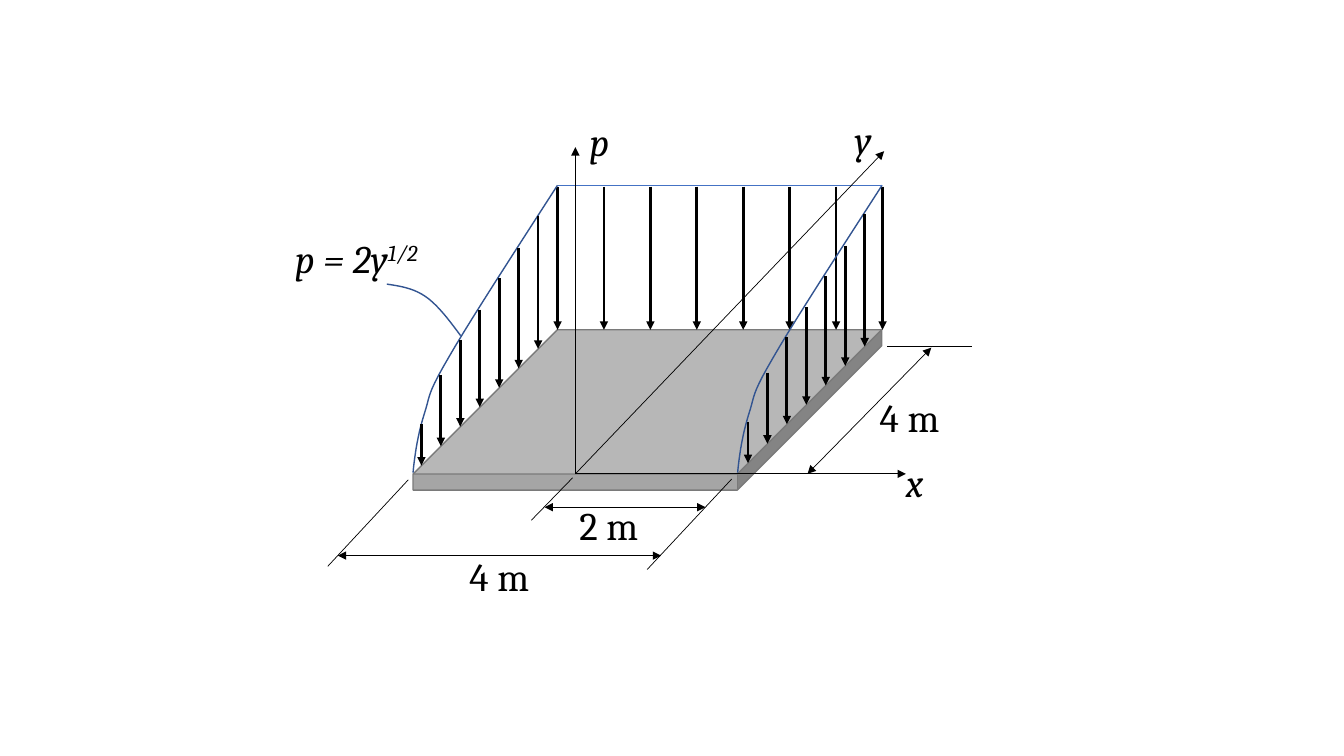
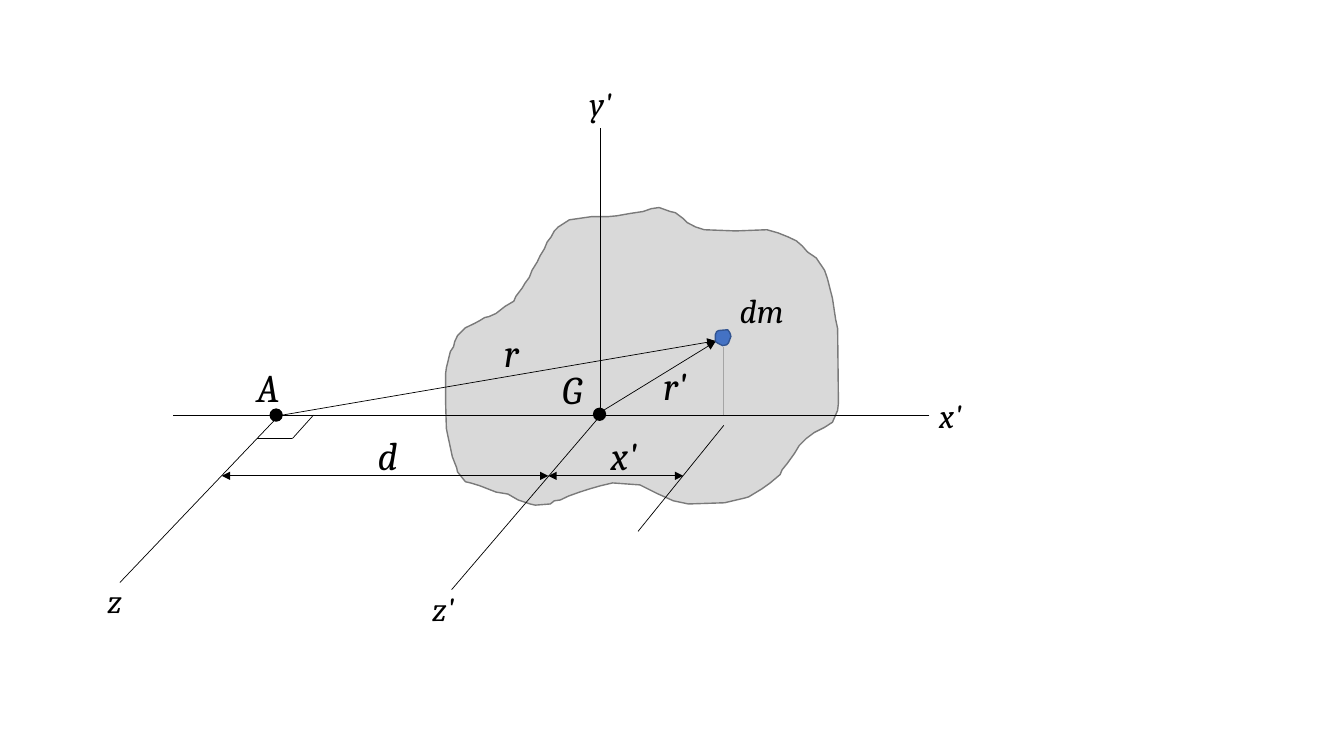
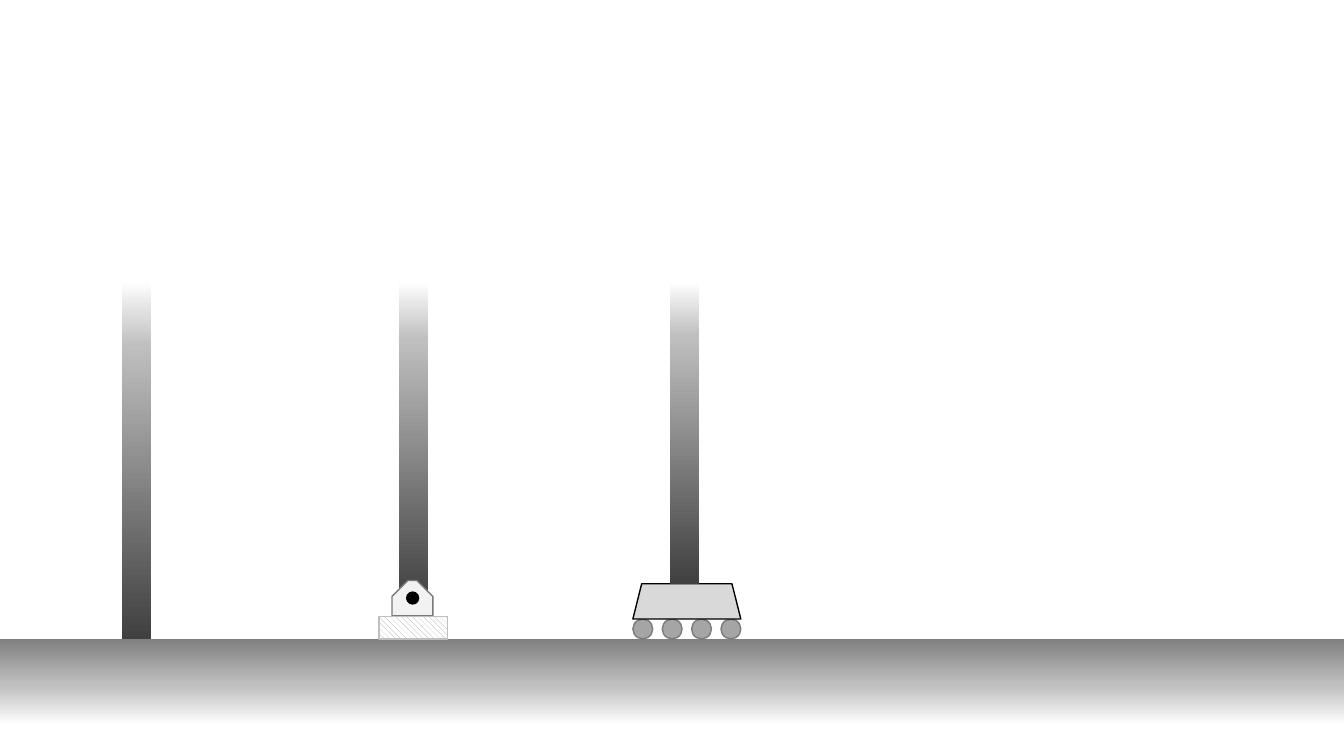
import pptx
import pptx.util
import pptx.dml.color
import pptx.enum.dml
import pptx.enum.shapes
import pptx.enum.text
import pptx.oxml.ns
import lxml.etree

Cm = pptx.util.Cm
Pt = pptx.util.Pt
SHAPE = pptx.enum.shapes.MSO_SHAPE
qn = pptx.oxml.ns.qn


def color(hex_string):
    return pptx.dml.color.RGBColor.from_string(hex_string)


def bezier(points, steps=10):
    result = [points[0]]
    for i in range(0, len(points) - 1, 3):
        a, b, c, d = points[i:i + 4]
        for n in range(1, steps + 1):
            t = n / steps
            u = 1 - t
            result.append(tuple(
                u ** 3 * a[k] + 3 * u * u * t * b[k] + 3 * u * t * t * c[k] + t ** 3 * d[k]
                for k in (0, 1)))
    return result


def shift(points, dx, dy=0):
    return [(x + dx, y + dy) for x, y in points]


class Diagram:
    FONT = "Cambria"
    BLACK = "000000"
    BLUE = "4472C4"
    NAVY = "325491"
    EDGE = "7A7A7A"
    STEEL = "A5A5A5"
    PALE = "D9D9D9"
    HAIR = 0.5
    LOAD = 2
    LARGE = 28
    SMALL = 24
    HEIGHTS = {LARGE: 1.45, SMALL: 1.27}

    def __init__(self, prs):
        self.prs = prs
        self.s = None

    def new_slide(self):
        self.s = self.prs.slides.add_slide(self.prs.slide_layouts[6])

    def paint(self, sp, fill, line, width=1):
        sp.shadow.inherit = False
        if fill:
            sp.fill.solid()
            sp.fill.fore_color.rgb = color(fill)
        else:
            sp.fill.background()
        if line:
            sp.line.color.rgb = color(line)
            sp.line.width = Pt(width)
        else:
            sp.line.fill.background()

    def shape(self, kind, x, y, w, h, fill=None, line=None, adj=()):
        sp = self.s.shapes.add_shape(kind, Cm(x), Cm(y), Cm(w), Cm(h))
        for i, value in enumerate(adj):
            sp.adjustments[i] = value
        self.paint(sp, fill, line)
        return sp

    def gradient(self, x, y, w, h, stops, angle):
        sp = self.shape(SHAPE.RECTANGLE, x, y, w, h)
        sp.fill.gradient()
        sp.fill.gradient_angle = angle
        gs_list = next(sp.fill._xPr.iter(qn("a:gsLst")))
        for gs in list(gs_list):
            gs_list.remove(gs)
        for position, hex_string in stops:
            gs = lxml.etree.SubElement(gs_list, qn("a:gs"), pos=str(position * 1000))
            lxml.etree.SubElement(gs, qn("a:srgbClr"), val=hex_string)

    def hatched(self, x, y, w, h, fore, back, line):
        sp = self.shape(SHAPE.RECTANGLE, x, y, w, h, line=line)
        sp.fill.patterned()
        sp.fill.pattern = pptx.enum.dml.MSO_PATTERN.WIDE_DOWNWARD_DIAGONAL
        sp.fill.fore_color.rgb = color(fore)
        sp.fill.back_color.rgb = color(back)

    def outline(self, points, line, fill=None, closed=False):
        pts = [(Cm(x), Cm(y)) for x, y in points]
        builder = self.s.shapes.build_freeform(*pts[0])
        builder.add_line_segments(pts[1:], close=closed)
        self.paint(builder.convert_to_shape(), fill, line)

    def line(self, x1, y1, x2, y2, width=HAIR, hex_string=BLACK, ends=()):
        cxn = self.s.shapes.add_connector(
            pptx.enum.shapes.MSO_CONNECTOR.STRAIGHT, Cm(x1), Cm(y1), Cm(x2), Cm(y2))
        cxn.line.color.rgb = color(hex_string)
        cxn.line.width = Pt(width)
        ln = cxn.line._get_or_add_ln()
        for end in ends:
            lxml.etree.SubElement(ln, qn("a:" + end), type="triangle")
        lxml.etree.SubElement(cxn._element.spPr, qn("a:effectLst"))

    def arrow(self, x1, y1, x2, y2, width=HAIR):
        self.line(x1, y1, x2, y2, width, ends=("tailEnd",))

    def dimension(self, x1, y1, x2, y2):
        self.line(x1, y1, x2, y2, ends=("headEnd", "tailEnd"))

    def label(self, x, y, text, size=LARGE, italic=True, w=2.34, sup=None):
        sp = self.s.shapes.add_textbox(Cm(x), Cm(y), Cm(w), Cm(self.HEIGHTS[size]))
        tf = sp.text_frame
        tf.word_wrap = True
        tf.auto_size = pptx.enum.text.MSO_AUTO_SIZE.SHAPE_TO_FIT_TEXT
        p = tf.paragraphs[0]
        for run_text, raised in ((text, False), (sup, True)):
            if not run_text:
                continue
            r = p.add_run()
            r.text = run_text
            r.font.name = self.FONT
            r.font.size = Pt(size)
            r.font.italic = italic
            r.font.color.rgb = color(self.BLACK)
            if raised:
                r._r.get_or_add_rPr().set("baseline", "30000")


def pressure_plate(d):
    d.new_slide()
    d.shape(SHAPE.CUBE, 10.41, 8.31, 11.81, 4.04, d.STEEL, d.EDGE, (0.9,))
    for i in range(8):
        x = 14.05 + 1.17 * i
        d.arrow(x, 4.7, x, 8.31, d.LOAD)
    profile = bezier([
        (10.41, 11.91), (10.46, 11.4), (10.54, 10.92), (10.69, 10.44),
        (10.85, 9.96), (10.74, 9.98), (11.3, 9.02),
        (11.86, 8.05), (12.95, 6.38), (14.05, 4.67)])
    for dx in (8.18, 0):
        d.outline(shift(profile, dx), d.NAVY)
    d.line(14.05, 4.67, 22.23, 4.67, hex_string=d.BLUE)
    tops = (10.69, 9.45, 8.56, 7.8, 7.01, 6.25, 5.44)
    for dx, dy in ((8.23, -0.06), (0, 0)):
        for i, top in enumerate(tops):
            x = 10.62 + dx + 0.49 * i
            d.arrow(x, top + dy, x, 11.73 + dy - 0.49 * i, d.LOAD)

    for x, y in ((14.5, 3.71), (22.28, 3.81), (22.83, 11.94)):
        d.arrow(14.5, 11.94, x, y)
    d.label(21.29, 2.77, "y")
    d.label(14.61, 2.84, "p")
    d.label(22.58, 11.43, "x")
    d.outline(bezier([
        (9.75, 7.16), (10.08, 7.21), (10.41, 7.26), (10.72, 7.47),
        (11.02, 7.67), (11.33, 8.08), (11.61, 8.46)]), d.NAVY)
    d.label(7.19, 5.77, "p = 2y", w=5.03, sup="1/2")

    d.dimension(23.47, 8.76, 20.35, 11.94)
    d.dimension(16.66, 14, 8.51, 14)
    d.dimension(17.78, 12.78, 13.72, 12.78)
    for ends in ((24.49, 8.74, 22.35, 8.74), (16.31, 14.35, 18.44, 12.07),
                 (8.26, 14.27, 10.29, 12.09), (13.39, 13.11, 14.43, 12.04)):
        d.line(*ends)
    for x, y, text in ((21.92, 9.78, "4 m"), (11.58, 13.79, "4 m"), (14.35, 12.52, "2 m")):
        d.label(x, y, text, italic=False)


BODY = [
    (15.54, 5.44), (15.32, 5.46), (14.91, 5.46), (14.35, 5.54), (14.07, 5.72),
    (13.97, 5.82), (13.89, 5.97), (13.79, 6.1), (13.72, 6.27), (13.61, 6.45),
    (13.54, 6.6), (13.41, 6.81), (13.34, 6.99), (13.23, 7.14), (13.16, 7.26),
    (13, 7.47), (12.95, 7.59), (12.73, 7.72), (12.5, 7.9), (12.32, 7.98),
    (12.22, 8), (12.09, 8.08), (11.96, 8.15), (11.73, 8.26), (11.53, 8.46),
    (11.46, 8.61), (11.43, 8.74), (11.35, 8.86), (11.25, 9.27), (11.23, 9.42),
    (11.23, 10.11), (11.25, 10.8), (11.28, 10.95), (11.33, 11.18), (11.4, 11.51),
    (11.51, 11.79), (11.53, 11.89), (11.73, 12.14), (11.86, 12.17), (12.09, 12.24),
    (12.5, 12.4), (12.8, 12.45), (13.06, 12.6), (13.36, 12.7), (13.49, 12.73),
    (13.87, 12.7), (13.97, 12.62), (14.12, 12.6), (14.33, 12.5), (14.61, 12.4),
    (14.86, 12.32), (15.14, 12.24), (15.44, 12.17), (16.13, 12.22), (16.33, 12.32),
    (16.59, 12.45), (16.97, 12.62), (17.35, 12.7), (18.26, 12.67), (18.77, 12.55),
    (18.87, 12.52), (19.2, 12.32), (19.41, 12.17), (19.66, 11.96), (19.71, 11.84),
    (19.84, 11.68), (20.02, 11.43), (20.14, 11.23), (20.32, 11.05), (20.52, 10.9),
    (20.78, 10.77), (20.98, 10.64), (21.11, 10.34), (21.13, 10.16), (21.11, 8.28),
    (21.06, 8.05), (20.98, 7.52), (20.85, 7.01), (20.78, 6.81), (20.57, 6.5),
    (20.35, 6.35), (20.22, 6.2), (20.07, 6.07), (19.86, 5.97), (19.61, 5.87),
    (19.33, 5.79), (18.54, 5.82), (17.75, 5.79), (17.53, 5.72), (17.32, 5.61),
    (17.22, 5.51), (17.02, 5.36), (16.89, 5.33), (16.61, 5.23), (16.41, 5.26),
    (16.21, 5.33), (15.88, 5.38)]

MASS_ELEMENT = [
    (18.34, 8.31), (18.11, 8.33), (18.06, 8.36), (18.03, 8.43), (18.03, 8.61),
    (18.11, 8.66), (18.21, 8.71), (18.31, 8.69), (18.36, 8.64), (18.39, 8.56),
    (18.42, 8.48), (18.41, 8.43), (18.39, 8.38)]


def parallel_axes(d):
    d.new_slide()
    d.outline(BODY, d.EDGE, d.PALE, closed=True)
    for ends in ((15.14, 3.23, 15.14, 10.46), (23.42, 10.46, 4.37, 10.46),
                 (11.38, 14.86, 15.14, 10.46), (3.02, 14.68, 7.04, 10.46),
                 (6.48, 11.05, 7.37, 11.05), (7.9, 10.46, 7.37, 11.05),
                 (16.08, 13.39, 18.24, 10.72)):
        d.line(*ends)
    for x, y in ((14.96, 10.29), (6.81, 10.31)):
        d.shape(SHAPE.OVAL, x, y, 0.3, 0.3, d.BLACK, d.BLACK)
    d.dimension(13.82, 11.99, 5.59, 11.99)
    d.dimension(17.22, 11.99, 13.82, 11.99)
    d.outline(MASS_ELEMENT, d.NAVY, d.BLUE, closed=True)
    d.line(18.24, 10.46, 18.24, 8.74, hex_string=d.STEEL)
    d.arrow(15.21, 10.34, 18.03, 8.61)
    d.arrow(7.11, 10.46, 18.03, 8.59)
    for x, y, text in ((14.61, 1.96, "y'"), (23.42, 9.83, "x'"), (10.64, 14.68, "z'"),
                       (2.46, 14.48, "z"), (18.39, 7.19, "dm")):
        d.label(x, y, text, d.SMALL)
    for x, y, text in ((13.92, 9.07, "G"), (6.22, 9.02, "A"), (9.27, 10.74, "d"),
                       (15.14, 10.74, "x'"), (16.46, 8.97, "r'"), (12.45, 8.15, "r")):
        d.label(x, y, text)


def column_supports(d):
    d.new_slide()
    d.gradient(0, 16.1, 33.87, 2.18, ((0, "808080"), (53, "BFBFBF"), (100, "FFFFFF")), 270)
    for i in range(4):
        d.shape(SHAPE.OVAL, 15.95 + 0.74 * i, 15.6, 0.5, 0.5, d.STEEL, d.EDGE)
    d.shape(SHAPE.TRAPEZOID, 15.95, 14.71, 2.72, 0.89, d.PALE, d.BLACK)
    for x, h in ((3.07, 9.01), (16.89, 7.62), (10.06, 8.13)):
        d.gradient(x, 7.09, 0.74, h, ((0, "404040"), (82, "BFBFBF"), (100, "FFFFFF")), 90)
    d.shape(SHAPE.SNIP_2_SAME_RECTANGLE, 9.88, 14.63, 1.03, 0.89, "F2F2F2", d.EDGE, (0.45, 0))
    d.hatched(9.55, 15.54, 1.73, 0.56, d.STEEL, "FFFFFF", "BFBFBF")
    d.shape(SHAPE.OVAL, 10.25, 14.92, 0.3, 0.3, d.BLACK, d.BLACK)


def main():
    prs = pptx.Presentation()
    prs.slide_width = Cm(33.87)
    prs.slide_height = Cm(19.05)
    d = Diagram(prs)
    pressure_plate(d)
    parallel_axes(d)
    column_supports(d)
    prs.save("out.pptx")


if __name__ == "__main__":
    main()
